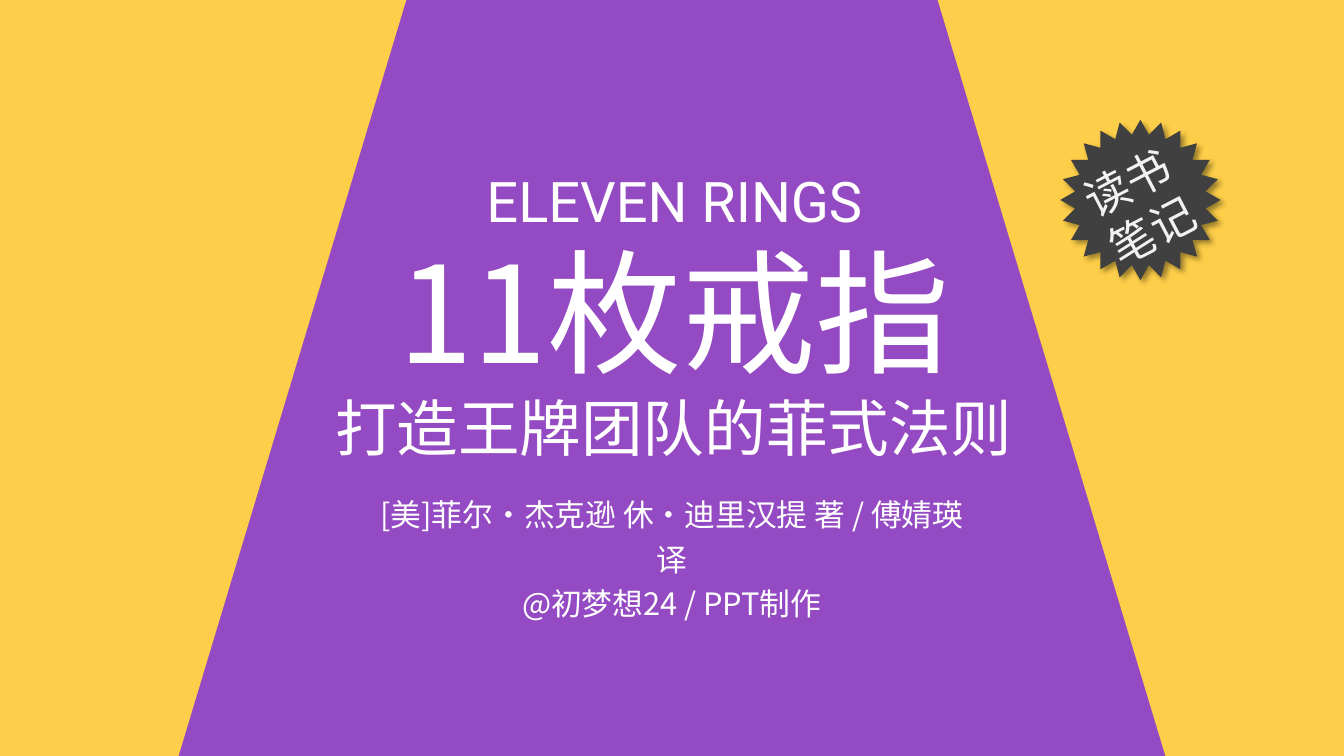
"""Build the cover slide of a reading-notes deck."""
from lxml import etree
from pptx import Presentation
from pptx.dml.color import RGBColor
from pptx.enum.shapes import MSO_SHAPE
from pptx.enum.text import MSO_AUTO_SIZE, PP_ALIGN
from pptx.oxml import parse_xml
from pptx.oxml.ns import qn
from pptx.util import Cm, Pt

STAR = MSO_SHAPE.STAR_24_POINT
FIT_SHAPE = MSO_AUTO_SIZE.SHAPE_TO_FIT_TEXT
CENTER, LEFT = PP_ALIGN.CENTER, PP_ALIGN.LEFT
CHINESE_FONT, LATIN_FONT = "Noto Sans CJK SC", "Roboto"
WIDTH, HEIGHT = 33.87, 19.05
PURPLE, YELLOW, CHARCOAL = "944AC2", "FDCE49", "404040"
WHITE, PALE_GRAY = "FFFFFF", "F2F2F2"
SHADOW = """<a:effectLst xmlns:a="http://schemas.openxmlformats.org/drawingml/2006/main">
<a:outerShdw blurRad="50800" dist="38100" dir="2700000" algn="tl" rotWithShape="0">
<a:srgbClr val="000000"><a:alpha val="40000"/></a:srgbClr></a:outerShdw></a:effectLst>"""


def paint(fill, color):
    fill.solid()
    fill.fore_color.rgb = RGBColor.from_string(color)


def add_text(shapes, box, lines, font_name, color, align=CENTER, spacing=1.0):
    text_box = shapes.add_textbox(*[Cm(length) for length in box])
    frame = text_box.text_frame
    frame.word_wrap = True
    frame.auto_size = FIT_SHAPE
    for index, (text, size) in enumerate(lines):
        paragraph = frame.add_paragraph() if index else frame.paragraphs[0]
        paragraph.alignment = align
        paragraph.line_spacing = spacing
        run = paragraph.add_run()
        run.text = text
        run.font.size = Pt(size)
        run.font.name = font_name
        paint(run.font.fill, color)
        latin = run.font._element.find(qn("a:latin"))
        east_asian = etree.Element(qn("a:ea"), typeface=font_name)
        latin.addnext(east_asian)
    return text_box


presentation = Presentation()
presentation.slide_width, presentation.slide_height = Cm(WIDTH), Cm(HEIGHT)
slide = presentation.slides.add_slide(presentation.slide_layouts[6])
paint(slide.background.fill, PURPLE)

left_panel = [(0, 0), (10.24, 0), (4.5, HEIGHT), (0, HEIGHT)]
right_panel = [(WIDTH - x, y) for x, y in left_panel]
for corners in (right_panel, left_panel):
    points = [(Cm(x), Cm(y)) for x, y in corners]
    builder = slide.shapes.build_freeform(*points[0])
    builder.add_line_segments(points[1:], close=True)
    panel = builder.convert_to_shape()
    panel.shadow.inherit = False
    paint(panel.fill, YELLOW)
    panel.line.fill.background()

add_text(slide.shapes, (8, 5.64, 17.98, 6.25),
         [("11枚戒指", 96), ("打造王牌团队的菲式法则", 44)], CHINESE_FONT, WHITE)
add_text(slide.shapes, (9.73, 4.06, 14.53, 1.96),
         [("ELEVEN RINGS", 40)], LATIN_FONT, WHITE)

badge = slide.shapes.add_group_shape()
star = badge.shapes.add_shape(STAR, Cm(26.72), Cm(3.02), Cm(4.04), Cm(4.04))
star.adjustments[0] = 0.41
paint(star.fill, CHARCOAL)
star.line.fill.background()
star._element.spPr.append(parse_xml(SHADOW))
label = add_text(badge.shapes, (27.33, 3.61, 3.2, 3),
                 [("读书", 32), ("笔记", 32)], CHINESE_FONT, PALE_GRAY, LEFT)
label.rotation = 332.5

add_text(slide.shapes, (8.99, 12.19, 15.88, 2.51),
         [("[美]菲尔·杰克逊 休·迪里汉提 著 / 傅婧瑛 译", 22),
          ("@初梦想24 / PPT制作", 22)], CHINESE_FONT, WHITE, spacing=1.2)

presentation.save("out.pptx")
